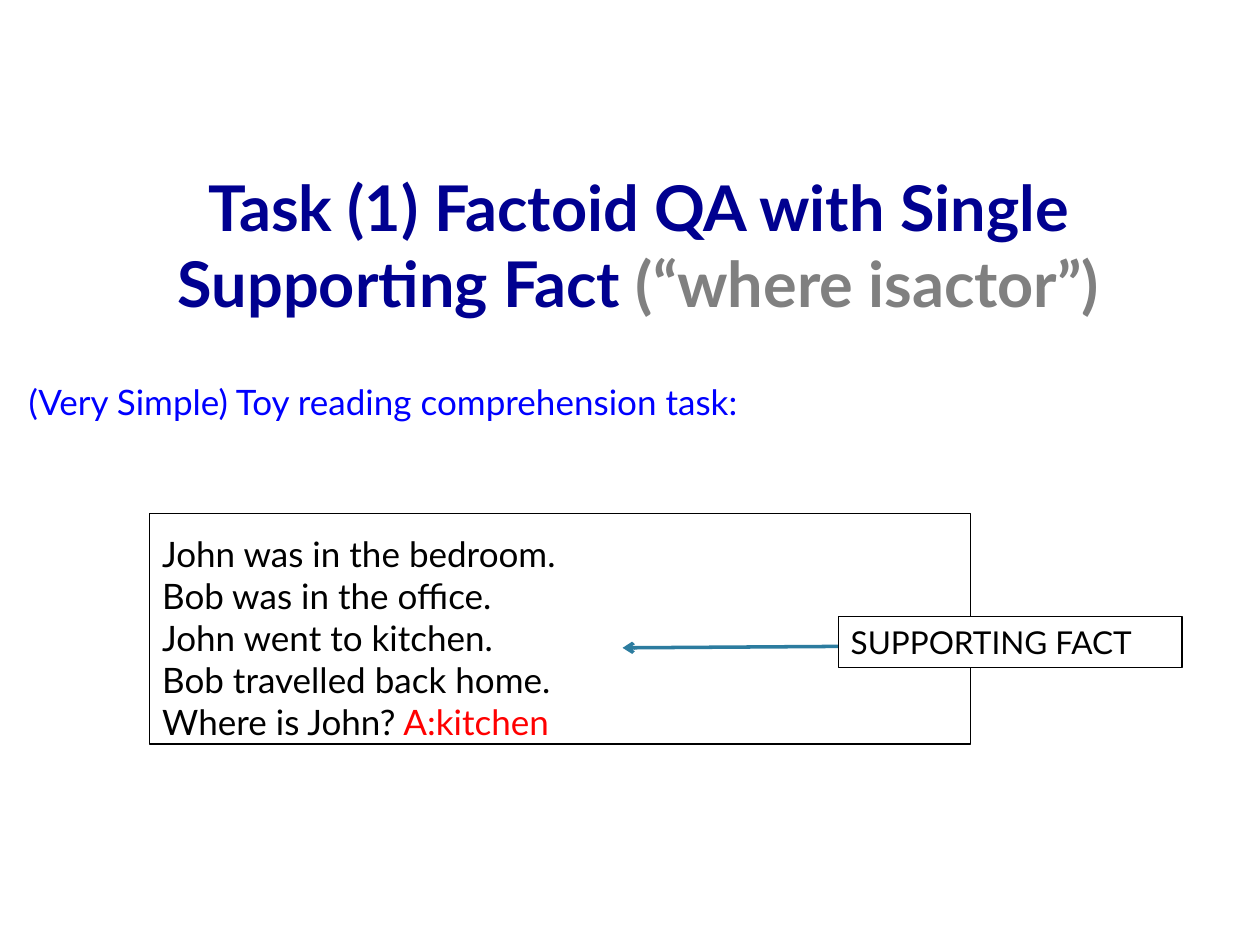
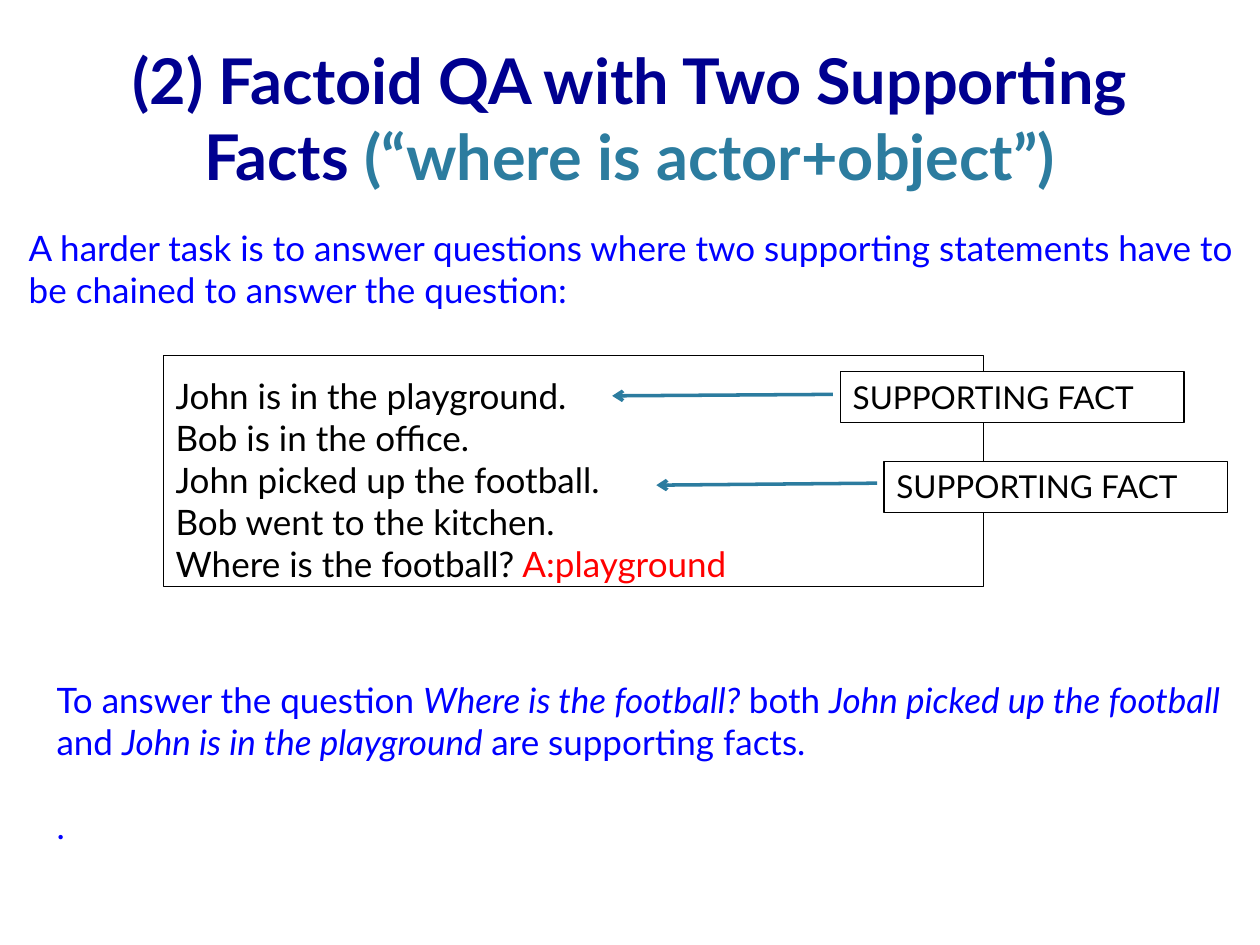
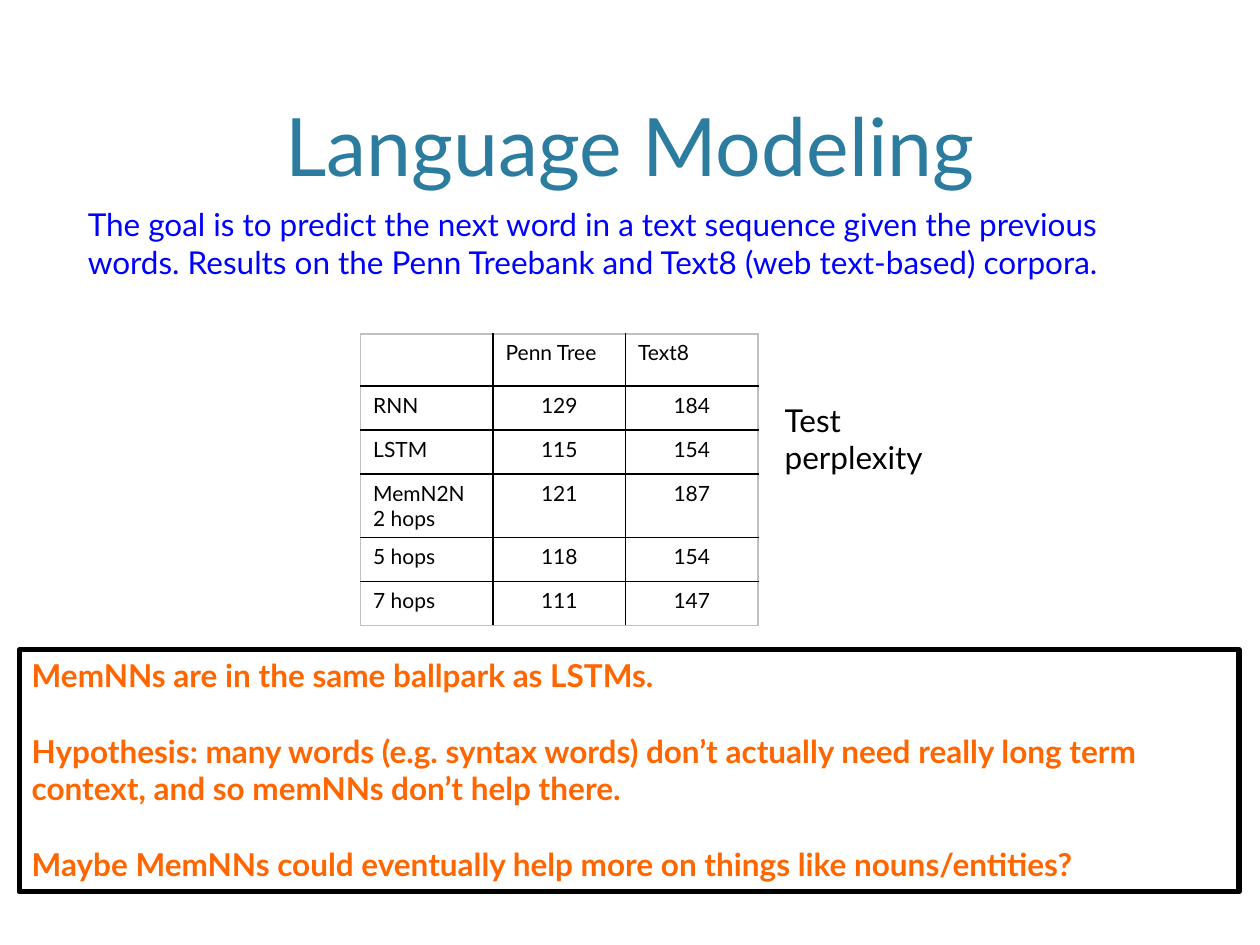
from dataclasses import dataclass

import pptx
import pptx.dml.color
import pptx.enum.shapes
import pptx.enum.text
import pptx.oxml.ns
import pptx.presentation
import pptx.shapes.autoshape
import pptx.slide
import pptx.table
import pptx.text.text
import pptx.util
from lxml import etree

Cm = pptx.util.Cm
Pt = pptx.util.Pt
Align = pptx.enum.text.PP_ALIGN
Anchor = pptx.enum.text.MSO_ANCHOR
qn = pptx.oxml.ns.qn


@dataclass(frozen=True)
class Theme:
    font: str = "Lato"
    navy: str = "000090"
    blue: str = "0000FF"
    teal: str = "2C7C9F"
    gray: str = "808080"
    red: str = "FF0000"
    orange: str = "FF6600"
    black: str = "000000"
    white: str = "FFFFFF"
    table_edge: str = "C0C0C0"
    heading: float = 46
    task_title: float = 36
    body: float = 20
    small: float = 18
    cell: float = 12


THEME = Theme()


@dataclass(frozen=True)
class Span:
    text: str
    color: str | None = None
    italic: bool = False


@dataclass(frozen=True)
class Style:
    size: float
    color: str = THEME.black
    bold: bool = False
    align: Align = Align.LEFT
    gap: float = 0


@dataclass(frozen=True)
class Box:
    left: float
    top: float
    width: float
    height: float


@dataclass(frozen=True)
class Support:
    left: float
    top: float
    arrow_x: float
    arrow_y: float
    drop: float


Paragraph = list[Span]

TASK_TITLE = Style(THEME.task_title, THEME.navy, bold=True, align=Align.CENTER)
HEADING = Style(THEME.heading, THEME.teal, align=Align.CENTER)
BLUE_BODY = Style(THEME.body, THEME.blue, gap=24)
STORY = Style(THEME.body)
LABEL = Style(THEME.small)
GOAL = Style(THEME.small, THEME.blue)
CONCLUSION = Style(THEME.small, THEME.orange, bold=True, gap=21.6)
CELL = Style(THEME.cell)
NUMBER = Style(THEME.cell, align=Align.CENTER)

TITLE_BOX = Box(1.52, 0.3, 22.35, 3.71)
ARROW_LENGTH = 4.45


def rgb(color: str) -> pptx.dml.color.RGBColor:
    return pptx.dml.color.RGBColor.from_string(color)


def lengths(box: Box) -> list[pptx.util.Length]:
    return [Cm(v) for v in (box.left, box.top, box.width, box.height)]


def write(tf: pptx.text.text.TextFrame, paragraphs: list[Paragraph], style: Style) -> None:
    tf.word_wrap = True
    for i, spans in enumerate(paragraphs):
        p = tf.add_paragraph() if i else tf.paragraphs[0]
        p.alignment = style.align
        if i and style.gap:
            p.space_before = Pt(style.gap)
        p.font.name = THEME.font
        p.font.size = Pt(style.size)
        p.font.bold = style.bold
        p.font.color.rgb = rgb(style.color)
        for span in spans:
            r = p.add_run()
            r.text = span.text
            if span.color:
                r.font.color.rgb = rgb(span.color)
            if span.italic:
                r.font.italic = True


def add_text(s: pptx.slide.Slide, box: Box, paragraphs: list[Paragraph], style: Style,
             anchor: Anchor = Anchor.TOP) -> None:
    tf = s.shapes.add_textbox(*lengths(box)).text_frame
    tf.vertical_anchor = anchor
    write(tf, paragraphs, style)


def add_title(s: pptx.slide.Slide, spans: Paragraph, style: Style, box: Box = TITLE_BOX) -> None:
    add_text(s, box, [spans], style, Anchor.BOTTOM)


def add_frame(s: pptx.slide.Slide, box: Box, paragraphs: list[Paragraph], style: Style,
              weight: float = 0.75, filled: bool = True) -> pptx.shapes.autoshape.Shape:
    sp = s.shapes.add_shape(pptx.enum.shapes.MSO_SHAPE.RECTANGLE, *lengths(box))
    sp.shadow.inherit = False
    if filled:
        sp.fill.solid()
        sp.fill.fore_color.rgb = rgb(THEME.white)
    else:
        sp.fill.background()
    sp.line.color.rgb = rgb(THEME.black)
    sp.line.width = Pt(weight)
    sp.text_frame.vertical_anchor = Anchor.TOP
    write(sp.text_frame, paragraphs, style)
    return sp


def add_story(s: pptx.slide.Slide, left: float, top: float, lines: list[str], answer: str) -> None:
    paragraphs = [[Span(line)] for line in lines]
    paragraphs[-1].append(Span(f" {answer}", THEME.red))
    sp = add_frame(s, Box(left, top, 16.54, 4.65), paragraphs, STORY, filled=False)
    sp.text_frame.margin_top = Cm(0.38)
    sp.text_frame.margin_bottom = 0


def add_support(s: pptx.slide.Slide, support: Support) -> None:
    x, y = support.arrow_x, support.arrow_y
    line = s.shapes.add_connector(pptx.enum.shapes.MSO_CONNECTOR.STRAIGHT, Cm(x), Cm(y),
                                  Cm(x - ARROW_LENGTH), Cm(y + support.drop))
    line.line.color.rgb = rgb(THEME.teal)
    line.line.width = Pt(2)
    etree.SubElement(line.line._get_or_add_ln(), qn("a:tailEnd"), type="arrow")
    etree.SubElement(line._element.spPr, qn("a:effectLst"))
    add_frame(s, Box(support.left, support.top, 6.93, 1.03), [[Span("SUPPORTING FACT")]], LABEL)


def set_borders(cell: pptx.table._Cell, colors: dict[str, str]) -> None:
    tcPr = cell._tc.get_or_add_tcPr()
    for i, (side, color) in enumerate(colors.items()):
        ln = etree.Element(qn(f"a:{side}"), w=str(Pt(1)))
        fill = etree.SubElement(ln, qn("a:solidFill"))
        etree.SubElement(fill, qn("a:srgbClr"), val=color)
        tcPr.insert(i, ln)


def add_results(s: pptx.slide.Slide, rows: list[list[str]], heights: list[float]) -> None:
    columns, width = len(rows[0]), 2.67
    box = Box(7.27, 6.73, columns * width, sum(heights))
    table = s.shapes.add_table(len(rows), columns, *lengths(box)).table
    table.first_row = False
    table.horz_banding = False
    for column in table.columns:
        column.width = Cm(width)
    for i, (row, height) in enumerate(zip(rows, heights)):
        table.rows[i].height = Cm(height)
        for j, text in enumerate(row):
            cell = table.cell(i, j)
            cell.fill.background()
            write(cell.text_frame, [[Span(text)] if text else []], NUMBER if i and j else CELL)
            outer = {"lnL": j == 0, "lnR": j == columns - 1,
                     "lnT": i == 0, "lnB": i == len(rows) - 1}
            set_borders(cell, {side: THEME.table_edge if edge else THEME.black
                               for side, edge in outer.items()})


def single_fact(s: pptx.slide.Slide) -> None:
    add_title(s, [Span("Task (1) Factoid QA with Single Supporting Fact "),
                  Span("(“where isactor”)", THEME.gray)], TASK_TITLE, Box(1.7, 2.87, 22.35, 3.71))
    add_text(s, Box(0.33, 7.54, 25.07, 3.05),
             [[Span("(Very Simple) Toy reading comprehension task:")]], BLUE_BODY)
    add_story(s, 3.02, 10.35, ["John was in the bedroom.", "Bob was in the office.",
                               "John went to kitchen.", "Bob travelled back home.",
                               "Where is John?"], "A:kitchen")
    add_support(s, Support(16.9, 12.43, 17, 13.03, 0.03))


def two_facts(s: pptx.slide.Slide) -> None:
    add_title(s, [Span("(2) Factoid QA with Two Supporting Facts "),
                  Span("(“where is actor+object”)", THEME.teal)], TASK_TITLE)
    add_text(s, Box(0.33, 4.45, 25.07, 3.05),
             [[Span("A harder task is to answer questions where two supporting statements "
                    "have to be chained to answer the question:")]], BLUE_BODY)
    add_story(s, 3.29, 7.17, ["John is in the playground.", "Bob is in the office.",
                              "John picked up the football.", "Bob went to the kitchen.",
                              "Where is the football?"], "A:playground")
    add_text(s, Box(0.89, 13.56, 24.05, 4.45),
             [[Span("To answer the question "), Span("Where is the football? ", italic=True),
               Span("both "), Span("John picked up the football", italic=True),
               Span(" and "), Span("John is in the playground ", italic=True),
               Span("are supporting facts.")],
              [Span(".")]], BLUE_BODY)
    for support in (Support(16.94, 7.49, 16.79, 7.95, 0.03),
                    Support(17.82, 9.3, 17.68, 9.74, 0.04)):
        add_support(s, support)


def language_modeling(s: pptx.slide.Slide) -> None:
    add_title(s, [Span("Language Modeling")], HEADING)
    add_results(s, [["", "Penn Tree", "Text8"],
                    ["RNN", "129", "184"],
                    ["LSTM", "115", "154"],
                    ["MemN2N 2 hops", "121", "187"],
                    ["5 hops", "118", "154"],
                    ["7 hops", "111", "147"]],
                [1.05, 0.89, 0.89, 1.27, 0.89, 0.89])
    add_text(s, Box(15.57, 7.95, 4.19, 1.8), [[Span("Test perplexity")]], LABEL)
    add_text(s, Box(1.52, 4.01, 21.67, 2.57),
             [[Span("The goal is to predict the next word in a text sequence given the previous "
                    "words. Results on the Penn Treebank and Text8 (web text-based) corpora.")]],
             GOAL)
    add_frame(s, Box(0.39, 13.1, 24.59, 4.88),
              [[Span("MemNNs are in the same ballpark as LSTMs.")],
               [Span("Hypothesis: many words (e.g. syntax words) don’t actually need really "
                     "long term context, and so memNNs don’t help there.")],
               [Span("Maybe MemNNs could eventually help more on things like nouns/entities?")]],
              CONCLUSION, weight=3)


def main() -> None:
    prs = pptx.Presentation()
    prs.slide_width = Cm(25.4)
    prs.slide_height = Cm(19.05)
    for build in (single_fact, two_facts, language_modeling):
        build(prs.slides.add_slide(prs.slide_layouts[6]))
    prs.save("out.pptx")


if __name__ == "__main__":
    main()
